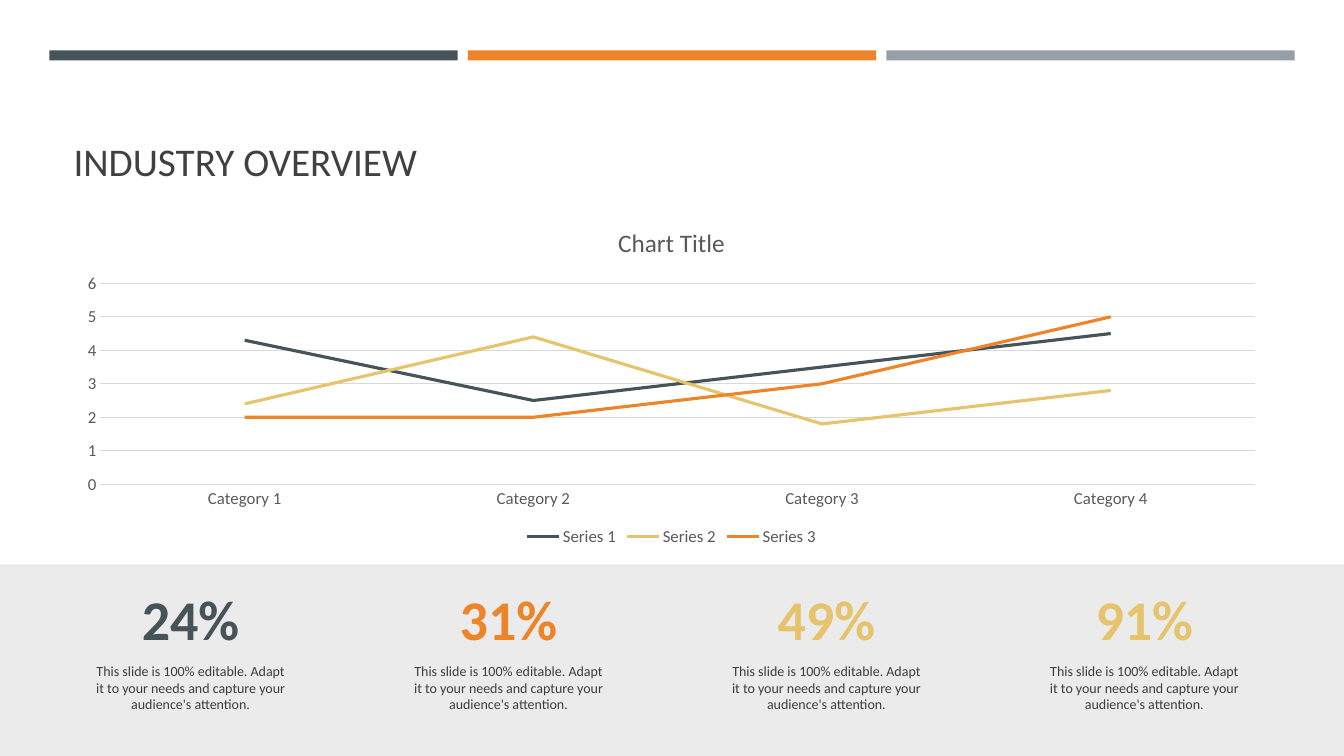
from pptx import Presentation
from pptx.chart.data import CategoryChartData
from pptx.dml.color import RGBColor
from pptx.enum.chart import XL_CHART_TYPE, XL_LEGEND_POSITION, XL_MARKER_STYLE, XL_TICK_MARK
from pptx.enum.shapes import MSO_SHAPE
from pptx.enum.text import MSO_ANCHOR, MSO_AUTO_SIZE, PP_ALIGN
from pptx.util import Inches, Pt

FONT = "Calibri"
COLORS = {
    "slate": "465359", "orange": "ED8428", "steel": "969FA7", "gold": "E6C46D",
    "band": "EBEBEB", "title": "404040", "body": "3D3D3D",
    "label": "595959", "grid": "D9D9D9",
}
TITLE = "INDUSTRY OVERVIEW"
TOP_BARS = ["slate", "orange", "steel"]
CHART_TITLE = "Chart Title"
CATEGORIES = ["Category 1", "Category 2", "Category 3", "Category 4"]
SERIES = [
    ("Series 1", (4.3, 2.5, 3.5, 4.5), "slate"),
    ("Series 2", (2.4, 4.4, 1.8, 2.8), "gold"),
    ("Series 3", (2, 2, 3, 5), "orange"),
]
STATS = [("24%", "slate"), ("31%", "orange"), ("49%", "gold"), ("91%", "gold")]
STAT_TEXT = "This slide is 100% editable. Adapt it to your needs and capture your audience's attention."

SLIDE_WIDTH, SLIDE_HEIGHT = 13.33, 7.5
BAR_LEFT, BAR_WIDTH, BAR_STEP = 0.49, 4.05, 4.15
CONTENT_LEFT, CONTENT_WIDTH = 0.63, 12.06
STAT_LEFT, STAT_WIDTH, STAT_STEP = 0.83, 2.12, 3.153


def rgb(name):
    return RGBColor.from_string(COLORS[name])


def style_font(font, size, color, bold=False):
    font.name, font.size, font.bold = FONT, Pt(size), bold
    font.color.rgb = rgb(color)


def add_bar(page, left, top, width, height, color):
    bar = page.shapes.add_shape(
        MSO_SHAPE.RECTANGLE, Inches(left), Inches(top), Inches(width), Inches(height))
    bar.shadow.inherit = False
    bar.fill.solid()
    bar.fill.fore_color.rgb = rgb(color)
    bar.line.fill.background()


def add_centred_text(page, left, top, height, text, size, color, bold, anchor):
    box = page.shapes.add_textbox(
        Inches(left), Inches(top), Inches(STAT_WIDTH), Inches(height))
    frame = box.text_frame
    frame.word_wrap = True
    frame.vertical_anchor = anchor
    frame.text = text
    para = frame.paragraphs[0]
    para.alignment = PP_ALIGN.CENTER
    style_font(para.runs[0].font, size, color, bold)


def set_title(page):
    title = page.shapes.title
    title.left, title.top = Inches(CONTENT_LEFT), Inches(0.8)
    title.width, title.height = Inches(CONTENT_WIDTH), Inches(1.08)
    frame = title.text_frame
    frame.text = TITLE
    frame.auto_size = MSO_AUTO_SIZE.NONE
    frame.vertical_anchor = MSO_ANCHOR.BOTTOM
    para = frame.paragraphs[0]
    para.alignment = PP_ALIGN.LEFT
    style_font(para.runs[0].font, 28, "title")


def add_line_chart(page):
    data = CategoryChartData()
    data.categories = CATEGORIES
    for name, values, _ in SERIES:
        data.add_series(name, values)
    chart = page.shapes.add_chart(
        XL_CHART_TYPE.LINE, Inches(CONTENT_LEFT), Inches(2.07),
        Inches(CONTENT_WIDTH), Inches(3.39), data).chart
    style_font(chart.font, 12, "label")

    chart.has_title = True
    heading = chart.chart_title.text_frame
    heading.text = CHART_TITLE
    style_font(heading.paragraphs[0].runs[0].font, 18, "label")
    chart.chart_title.include_in_layout = False

    chart.has_legend = True
    chart.legend.position = XL_LEGEND_POSITION.BOTTOM
    chart.legend.include_in_layout = False
    style_font(chart.legend.font, 12, "label")

    for axis in (chart.category_axis, chart.value_axis):
        axis.major_tick_mark = axis.minor_tick_mark = XL_TICK_MARK.NONE
        style_font(axis.tick_labels.font, 12, "label")
    chart.value_axis.minimum_scale, chart.value_axis.maximum_scale = 0, 6
    chart.value_axis.major_unit = 1
    chart.value_axis.format.line.fill.background()
    chart.value_axis.has_major_gridlines = True
    for line in (chart.category_axis.format.line,
                 chart.value_axis.major_gridlines.format.line):
        line.color.rgb = rgb("grid")
        line.width = Pt(0.75)

    plot = chart.plots[0]
    plot.vary_by_categories = False
    for series, (_, _, color) in zip(plot.series, SERIES):
        series.smooth = False
        series.marker.style = XL_MARKER_STYLE.NONE
        series.format.line.color.rgb = rgb(color)
        series.format.line.width = Pt(2.25)


def main():
    deck = Presentation()
    deck.slide_width, deck.slide_height = Inches(SLIDE_WIDTH), Inches(SLIDE_HEIGHT)
    page = deck.slides.add_slide(deck.slide_layouts[5])

    for index, color in enumerate(TOP_BARS):
        add_bar(page, BAR_LEFT + index * BAR_STEP, 0.5, BAR_WIDTH, 0.1, color)
    add_bar(page, 0, 5.6, SLIDE_WIDTH, SLIDE_HEIGHT - 5.6, "band")
    set_title(page)
    add_line_chart(page)

    for index, (figure, color) in enumerate(STATS):
        left = STAT_LEFT + index * STAT_STEP
        add_centred_text(page, left, 5.83, 0.61, figure, 40, color, True, MSO_ANCHOR.MIDDLE)
        add_centred_text(page, left, 6.52, 0.69, STAT_TEXT, 10, "body", False, MSO_ANCHOR.TOP)

    deck.save("out.pptx")


if __name__ == "__main__":
    main()
